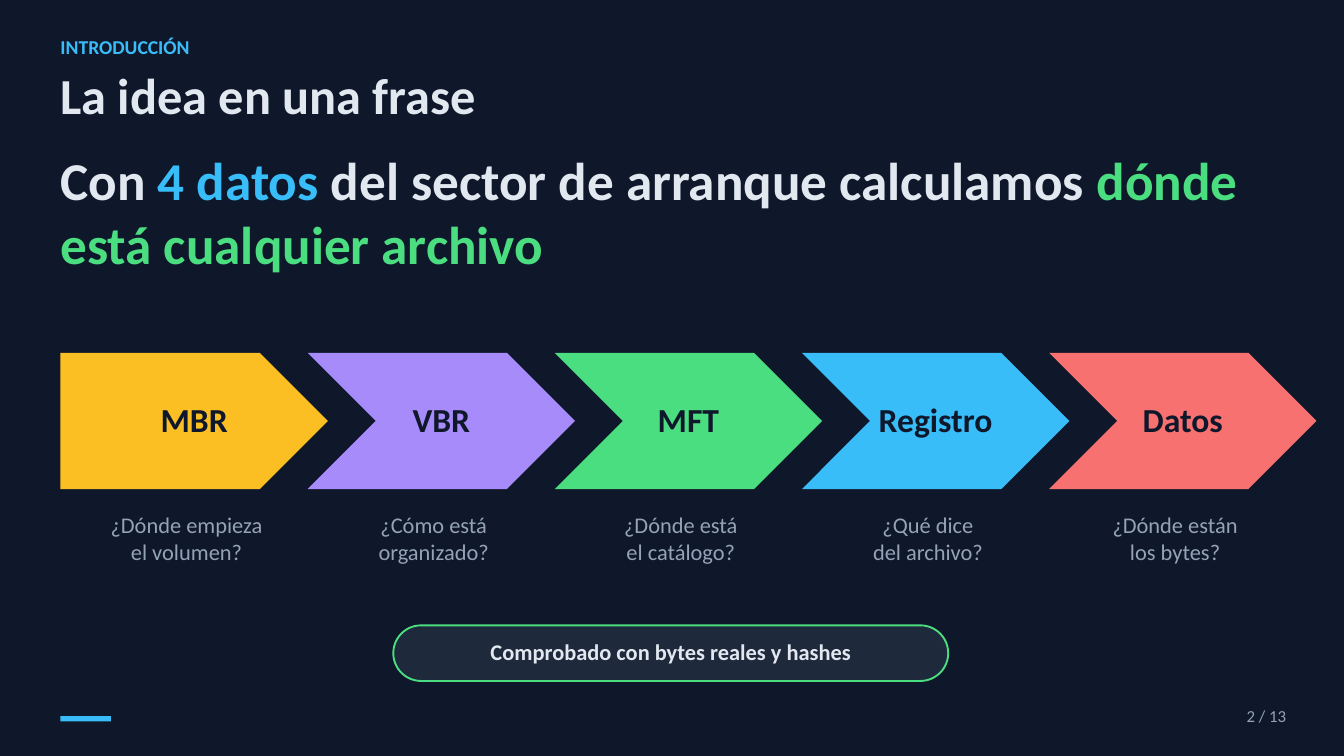
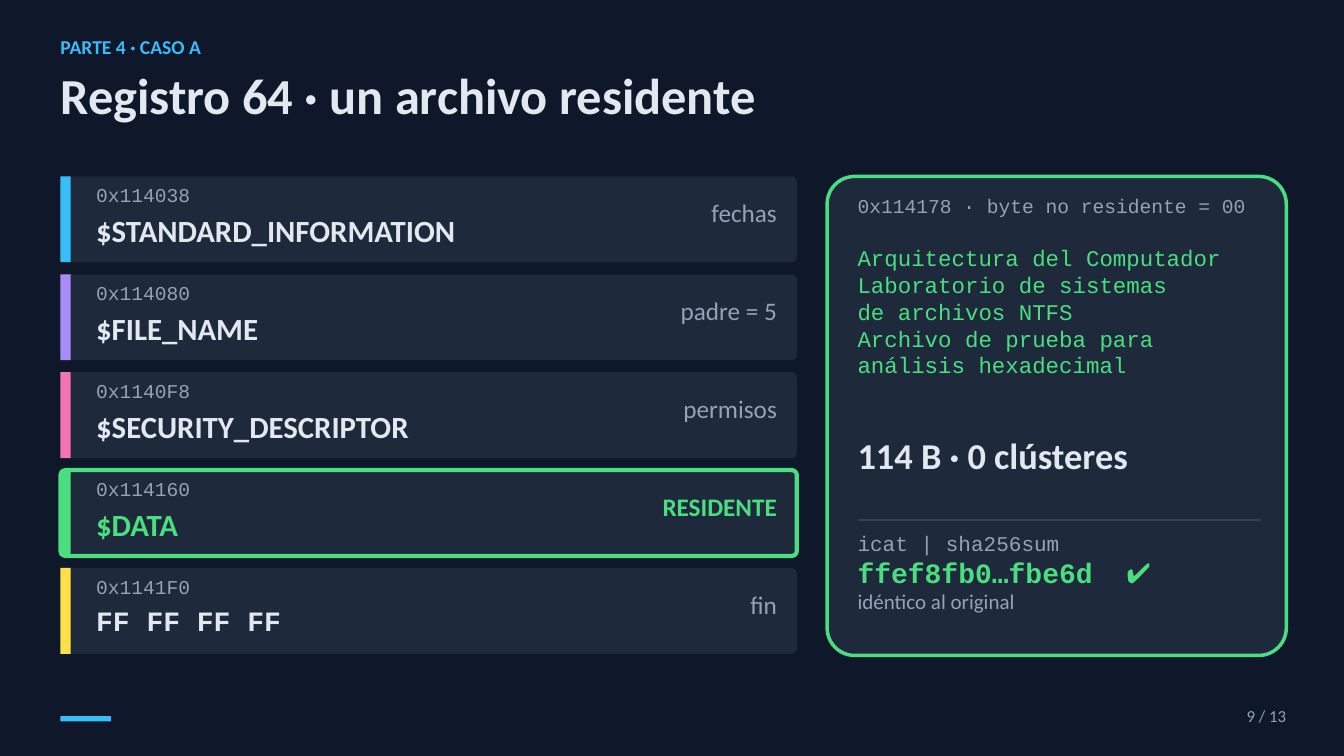
from dataclasses import dataclass

from lxml import etree
from pptx import Presentation
from pptx.dml.color import RGBColor
from pptx.enum.shapes import MSO_CONNECTOR, MSO_SHAPE as SHAPE
from pptx.enum.text import MSO_ANCHOR as ANCHOR, MSO_AUTO_SIZE, PP_ALIGN as ALIGN
from pptx.oxml.ns import qn
from pptx.util import Pt

COLORS = {
    "bg": "0F172A", "card": "1E293B", "rule": "334155", "text": "E2E8F0",
    "muted": "94A3B8", "blue": "38BDF8", "green": "4ADE80", "amber": "FBBF24",
    "violet": "A78BFA", "red": "F87171", "pink": "F472B6", "yellow": "FDE047",
}
SANS, MONO = "Calibri", "Courier New"
LEFT, RIGHT = 64.8, 1378
TOTAL = 13


def rgb(name):
    return RGBColor.from_string(COLORS[name])


@dataclass
class Run:
    text: str
    size: float
    color: str = "text"
    bold: bool = False
    font: str = SANS


class Deck:
    def __init__(self):
        self.prs = Presentation()
        self.prs.slide_width, self.prs.slide_height = Pt(1440), Pt(810)
        fill = self.prs.slide_master.background.fill
        fill.solid()
        fill.fore_color.rgb = rgb("bg")
        self.s = None

    def slide(self, section, title, number):
        self.s = self.prs.slides.add_slide(self.prs.slide_layouts[5])
        sp = self.s.shapes.title
        sp.left, sp.top, sp.width, sp.height = Pt(LEFT), Pt(69), Pt(1307.5), Pt(80)
        self.fill_text(sp.text_frame, [[Run(title, 54, bold=True)]])
        self.text(LEFT, 37.4, 972, 36, [[Run(section, 21, "blue", True)]])
        self.text(RIGHT - 168, 756, 168, 35,
                  [[Run(f"{number} / {TOTAL}", 18, "muted")]], ALIGN.RIGHT)
        self.shape(SHAPE.RECTANGLE, LEFT, 767.4, 54, 5.4, "blue")

    def fill_text(self, tf, paragraphs, align=ALIGN.LEFT, anchor=ANCHOR.TOP, tab=None):
        tf.word_wrap, tf.auto_size, tf.vertical_anchor = True, MSO_AUTO_SIZE.NONE, anchor
        tf.margin_left = tf.margin_right = tf.margin_top = tf.margin_bottom = 0
        for i, runs in enumerate(paragraphs):
            p = tf.add_paragraph() if i else tf.paragraphs[0]
            p.alignment = align
            p.space_before = p.space_after = Pt(0)
            p.line_spacing = Pt(1.2 * runs[0].size)
            if tab:
                stops = etree.SubElement(p._p.get_or_add_pPr(), qn("a:tabLst"))
                etree.SubElement(stops, qn("a:tab"), pos=str(Pt(tab)), algn="l")
            for run in runs:
                r = p.add_run()
                r.text = run.text
                r.font.name, r.font.size, r.font.bold = run.font, Pt(run.size), run.bold
                r.font.color.rgb = rgb(run.color)

    def text(self, x, y, w, h, paragraphs, align=ALIGN.LEFT, tab=None):
        sp = self.s.shapes.add_textbox(Pt(x), Pt(y), Pt(w), Pt(h))
        self.fill_text(sp.text_frame, paragraphs, align, tab=tab)

    def shape(self, kind, x, y, w, h, color, adj=None, line=None, line_width=0, label=None):
        sp = self.s.shapes.add_shape(kind, Pt(x), Pt(y), Pt(w), Pt(h))
        sp.shadow.inherit = False
        sp.fill.solid()
        sp.fill.fore_color.rgb = rgb(color)
        if adj is not None:
            sp.adjustments[0] = adj
        if line:
            sp.line.color.rgb = rgb(line)
            sp.line.width = Pt(line_width)
        else:
            sp.line.fill.background()
        if label:
            self.fill_text(sp.text_frame, [[label]], ALIGN.CENTER, ANCHOR.MIDDLE)
            sp.text_frame.margin_bottom = Pt(3.6)
        return sp

    def rule(self, x, y, w, color, width):
        c = self.s.shapes.add_connector(MSO_CONNECTOR.STRAIGHT, Pt(x), Pt(y), Pt(x + w), Pt(y))
        c.line.color.rgb = rgb(color)
        c.line.width = Pt(width)
        etree.SubElement(c._element.spPr, qn("a:effectLst"))

    def step(self, i, name, question, color):
        x, y, w, h = LEFT + 264.8 * i, 378, 286.5, 146
        kind = SHAPE.CHEVRON if i else SHAPE.PENTAGON
        sp = self.shape(kind, x, y, w, h, color, 0.5, label=Run(name, 36, "bg", True))
        if not i:
            sp.text_frame.margin_left = Pt(h / 4)
        self.text(x + 10.8, 548, 248.4, 100,
                  [[Run(line, 24, "muted")] for line in question], ALIGN.CENTER)

    def attribute(self, i, offset, name, note, color, highlight=False):
        y, w, h = 189 + 104.9 * i, 789, 92
        line = color if highlight else None
        self.shape(SHAPE.ROUNDED_RECTANGLE, LEFT, y, w, h, "card", 0.06, line, 4.5)
        self.shape(SHAPE.RECTANGLE, LEFT, y, 10.8, h, color)
        self.text(103, y + 7, 216, 36, [[Run(offset, 21, "muted", font=MONO)]])
        if name.startswith("$"):
            title = Run(name, 33, color if highlight else "text", True)
        else:
            title = Run(name, 30, "text", True, MONO)
        self.text(103, y + 38, 541, 48, [[title]])
        self.text(584, y + 22.5, 248.4, 47.5,
                  [[Run(note, 27, line or "muted", highlight)]], ALIGN.RIGHT)


def build_idea(d):
    d.slide("INTRODUCCIÓN", "La idea en una frase", 2)
    phrase = [("Con ", "text"), ("4 datos", "blue"),
              (" del sector de arranque calculamos ", "text"),
              ("dónde está cualquier archivo", "green")]
    d.text(LEFT, 157.7, 1307.5, 183, [[Run(t, 57, c, True) for t, c in phrase]])
    steps = [
        ("MBR", ("¿Dónde empieza", "el volumen?"), "amber"),
        ("VBR", ("¿Cómo está", "organizado?"), "violet"),
        ("MFT", ("¿Dónde está", "el catálogo?"), "green"),
        ("Registro", ("¿Qué dice", "del archivo?"), "blue"),
        ("Datos", ("¿Dónde están", "los bytes?"), "red"),
    ]
    for i, step in enumerate(steps):
        d.step(i, *step)
    d.shape(SHAPE.ROUNDED_RECTANGLE, 421.4, 670, 594.6, 59.6, "card", 0.5, "green", 2,
            Run("Comprobado con bytes reales y hashes", 24, bold=True))


def build_record(d):
    d.slide("PARTE 4 · CASO A", "Registro 64 · un archivo residente", 9)
    attributes = [
        ("0x114038", "$STANDARD_INFORMATION", "fechas", "blue"),
        ("0x114080", "$FILE_NAME", "padre = 5", "violet"),
        ("0x1140F8", "$SECURITY_DESCRIPTOR", "permisos", "pink"),
        ("0x114160", "$DATA", "RESIDENTE", "green", True),
        ("0x1141F0", "FF FF FF FF", "fin", "yellow"),
    ]
    for i, attribute in enumerate(attributes):
        d.attribute(i, *attribute)

    x, w = 918.8, 432
    d.shape(SHAPE.ROUNDED_RECTANGLE, 886.2, 189, 492, 513.3, "card", 0.06, "green", 3.75)
    d.text(x, 207.4, w, 36,
           [[Run("0x114178 · byte no residente = 00", 21, "muted", font=MONO)]])
    content = ["Arquitectura del Computador", "Laboratorio de sistemas", "de archivos NTFS",
               "Archivo de prueba para", "análisis hexadecimal"]
    d.text(x, 261.4, w, 176, [[Run(t, 24, "green", font=MONO)] for t in content])
    d.text(x, 464.4, w, 81, [[Run("114 B · 0 clústeres", 39, bold=True)]])
    d.rule(x, 557.6, w, "rule", 2)
    d.text(x, 568, w, 123, [
        [Run("icat | sha256sum", 22.5, "muted", font=MONO)],
        [Run("ffef8fb0…fbe6d\t✔", 30, "green", True, MONO)],
        [Run("idéntico al original", 22.5, "muted")],
    ], tab=288)


def main():
    d = Deck()
    build_idea(d)
    build_record(d)
    d.prs.save("out.pptx")


if __name__ == "__main__":
    main()
